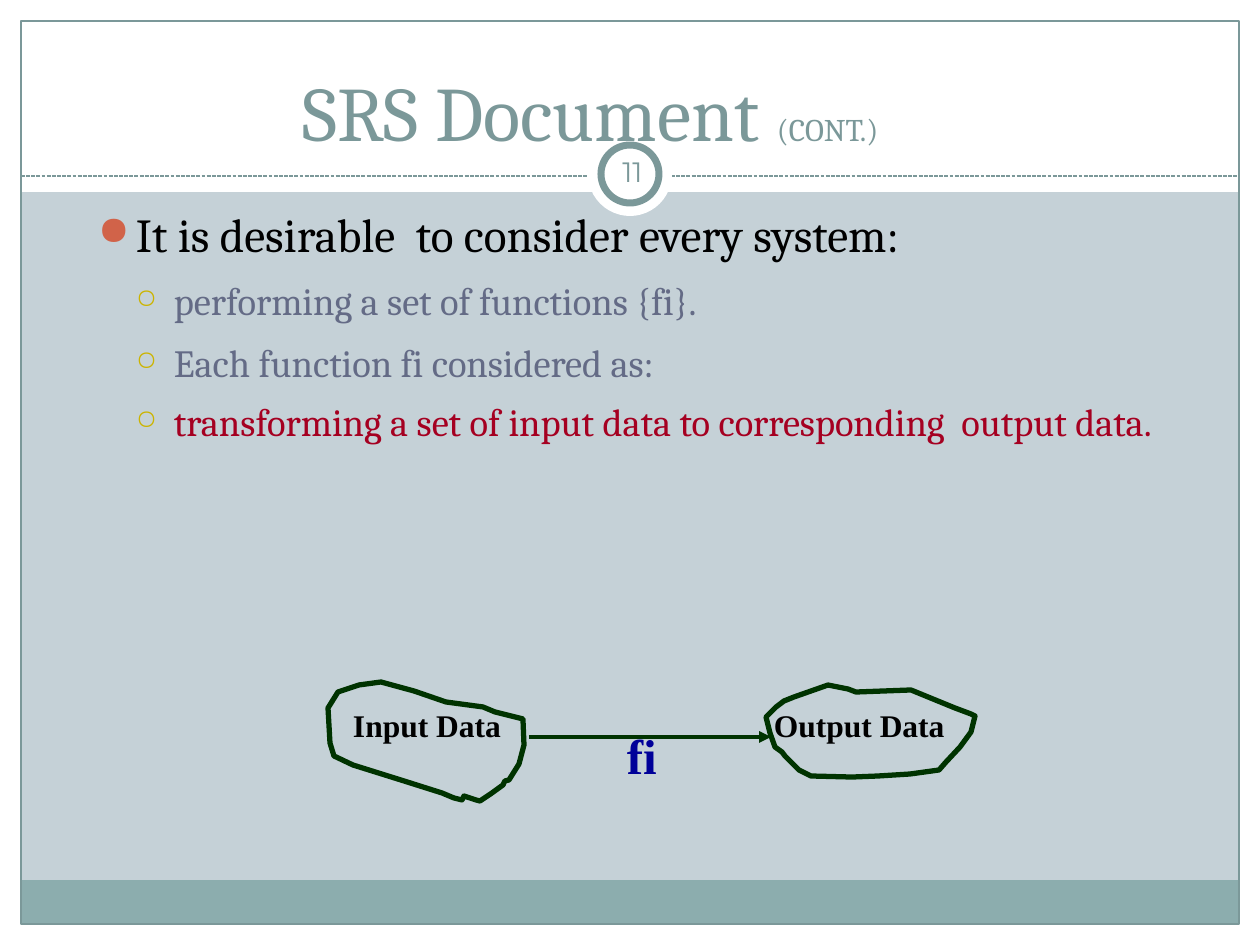
from dataclasses import dataclass

from lxml.etree import SubElement
from pptx import Presentation
from pptx.dml.color import RGBColor
from pptx.enum.dml import MSO_LINE_DASH_STYLE as Dash
from pptx.enum.shapes import MSO_CONNECTOR as Connector, MSO_SHAPE as Shape
from pptx.enum.text import MSO_ANCHOR as Anchor, PP_ALIGN as Align
from pptx.oxml.ns import qn
from pptx.util import Emu, Pt

SCALE = 914400 / 126
WIDTH, HEIGHT = 1260, 945
MARGIN = 21


@dataclass(frozen=True)
class Theme:
    heading_font: str = "Cambria"
    number_font: str = "Montserrat"
    label_font: str = "Times New Roman"
    background: str = "C5D1D7"
    white: str = "FFFFFF"
    black: str = "000000"
    frame: str = "7B9899"
    footer: str = "8CADAE"
    detail: str = "646B86"
    emphasis: str = "A50021"
    bullet: str = "D16349"
    sub_bullet: str = "CCB400"
    diagram: str = "003300"
    function: str = "000099"
    title_size: int = 44
    suffix_size: int = 18
    number_size: int = 16
    body_size: int = 27
    detail_size: int = 22
    label_size: int = 18
    function_size: int = 28


THEME = Theme()

INPUT_OUTLINE = [
    (523, 719), (495, 712), (483, 707), (446, 702), (414, 691), (381, 682),
    (359, 685), (338, 692), (328, 708), (330, 743), (334, 756), (353, 765),
    (404, 781), (442, 793), (454, 798), (462, 800), (464, 796), (476, 800),
    (480, 801), (492, 793), (503, 785), (505, 781), (509, 780), (519, 764),
    (524, 745),
]
OUTPUT_OUTLINE = [
    (766, 717), (776, 707), (784, 701), (794, 697), (828, 685), (848, 689),
    (856, 692), (911, 690), (955, 708), (971, 714), (975, 716), (971, 732),
    (960, 747), (946, 762), (939, 770), (910, 774), (878, 776), (852, 777),
    (811, 776), (799, 770), (785, 756), (782, 752), (775, 747), (770, 733),
]


def px(value):
    return Emu(round(value * SCALE))


def rgb(color):
    return RGBColor.from_string(color)


def style_line(line, color, width):
    line.color.rgb = rgb(color)
    line.width = Pt(width)


def style_shape(shape, fill, line, width):
    shape.shadow.inherit = False
    if fill:
        shape.fill.solid()
        shape.fill.fore_color.rgb = rgb(fill)
    else:
        shape.fill.background()
    if line:
        style_line(shape.line, line, width)
    else:
        shape.line.fill.background()


def add_shape(page, kind, area, fill=None, line=None, width=0.75):
    shape = page.shapes.add_shape(kind, *map(px, area))
    style_shape(shape, fill, line, width)


def add_outline(page, points):
    builder = page.shapes.build_freeform(*points[0], scale=SCALE)
    builder.add_line_segments(points[1:], close=True)
    style_shape(builder.convert_to_shape(), None, THEME.diagram, 3)


def add_line(page, start, end, color, width, dash=None, arrow=False):
    line = page.shapes.add_connector(Connector.STRAIGHT, *map(px, start + end))
    style_line(line.line, color, width)
    if dash:
        line.line.dash_style = dash
    if arrow:
        SubElement(line.line._get_or_add_ln(), qn("a:tailEnd"), type="triangle")
    SubElement(line._element.spPr, qn("a:effectLst"))


def add_box(page, area, anchor=Anchor.TOP, side=3):
    box = page.shapes.add_textbox(*map(px, area))
    frame = box.text_frame
    frame.word_wrap = True
    frame.vertical_anchor = anchor
    frame.margin_left = frame.margin_right = px(side)
    frame.margin_top = frame.margin_bottom = px(6)
    return frame


def add_span(para, text, size, font, color, bold=False):
    span = para.add_run()
    span.text = text
    span.font.size = Pt(size)
    span.font.name = font
    span.font.color.rgb = rgb(color)
    span.font.bold = bold


def add_bullet(para, mark, color, percent):
    props = para._p.get_or_add_pPr()
    props.set("marL", str(px(38 * (para.level + 1))))
    props.set("indent", str(px(-38)))
    SubElement(SubElement(props, qn("a:buClr")), qn("a:srgbClr"), val=color)
    SubElement(props, qn("a:buSzPct"), val=str(percent * 1000))
    SubElement(props, qn("a:buChar"), char=mark)


def add_label(page, area, text, size, color):
    para = add_box(page, area).paragraphs[0]
    para.line_spacing = 0.85
    add_span(para, text, size, THEME.label_font, color, bold=True)


def add_backdrop(page):
    page.background.fill.solid()
    page.background.fill.fore_color.rgb = rgb(THEME.background)
    inner = WIDTH - 2 * MARGIN
    bottom = HEIGHT - MARGIN
    for area in [
        (0, bottom, WIDTH, MARGIN),
        (0, 0, WIDTH, 192),
        (0, 0, MARGIN, HEIGHT),
        (WIDTH - MARGIN, 0, MARGIN, HEIGHT),
    ]:
        add_shape(page, Shape.RECTANGLE, area, THEME.white)
    add_shape(page, Shape.RECTANGLE, (MARGIN, 880, inner, bottom - 880), THEME.footer)
    add_shape(page, Shape.RECTANGLE, (MARGIN, MARGIN, inner, bottom - MARGIN), line=THEME.frame)
    add_line(page, (MARGIN, 176), (WIDTH - MARGIN, 176), THEME.frame, 0.75, dash=Dash.SQUARE_DOT)
    add_shape(page, Shape.OVAL, (588, 132, 84, 84), THEME.white)
    add_shape(page, Shape.OVAL, (601, 145, 58, 58), THEME.white, THEME.frame, 4)


def add_header(page):
    title = add_box(page, (55, 32, 1071, 158), Anchor.MIDDLE).paragraphs[0]
    title.alignment = Align.CENTER
    add_span(title, "SRS Document ", THEME.title_size, THEME.heading_font, THEME.frame)
    add_span(title, "(CONT.)", THEME.suffix_size, THEME.heading_font, THEME.frame)
    number = add_box(page, (601, 141, 63, 60), Anchor.MIDDLE, side=6).paragraphs[0]
    number.alignment = Align.CENTER
    add_span(number, "11", THEME.number_size, THEME.number_font, THEME.frame)


def add_body(page):
    frame = add_box(page, (95, 199, 1071, 567))
    para = frame.paragraphs[0]
    add_bullet(para, "●", THEME.bullet, 85)
    add_span(para, "It is desirable  to consider every system:",
             THEME.body_size, THEME.heading_font, THEME.black)
    for text, color, space in [
        ("performing a set of functions {fi}.", THEME.detail, 8.9),
        ("Each function fi considered as:", THEME.detail, 8.9),
        ("transforming a set of input data to corresponding  output data.", THEME.emphasis, 7.3),
    ]:
        para = frame.add_paragraph()
        para.level = 1
        para.space_before = Pt(space)
        add_bullet(para, "○", THEME.sub_bullet, 70)
        add_span(para, text, THEME.detail_size, THEME.heading_font, color)


def add_diagram(page):
    for left, text in [(350, "Input Data"), (771, "Output Data")]:
        add_label(page, (left, 706, 209, 50), text, THEME.label_size, THEME.black)
    add_line(page, (529, 737), (771, 737), THEME.diagram, 2.25, arrow=True)
    add_label(page, (624, 728, 158, 81), "fi", THEME.function_size, THEME.function)
    for points in (INPUT_OUTLINE, OUTPUT_OUTLINE):
        add_outline(page, points)


def main():
    deck = Presentation()
    deck.slide_width, deck.slide_height = px(WIDTH), px(HEIGHT)
    page = deck.slides.add_slide(deck.slide_layouts[6])
    add_backdrop(page)
    add_header(page)
    add_body(page)
    add_diagram(page)
    deck.save("out.pptx")


if __name__ == "__main__":
    main()
